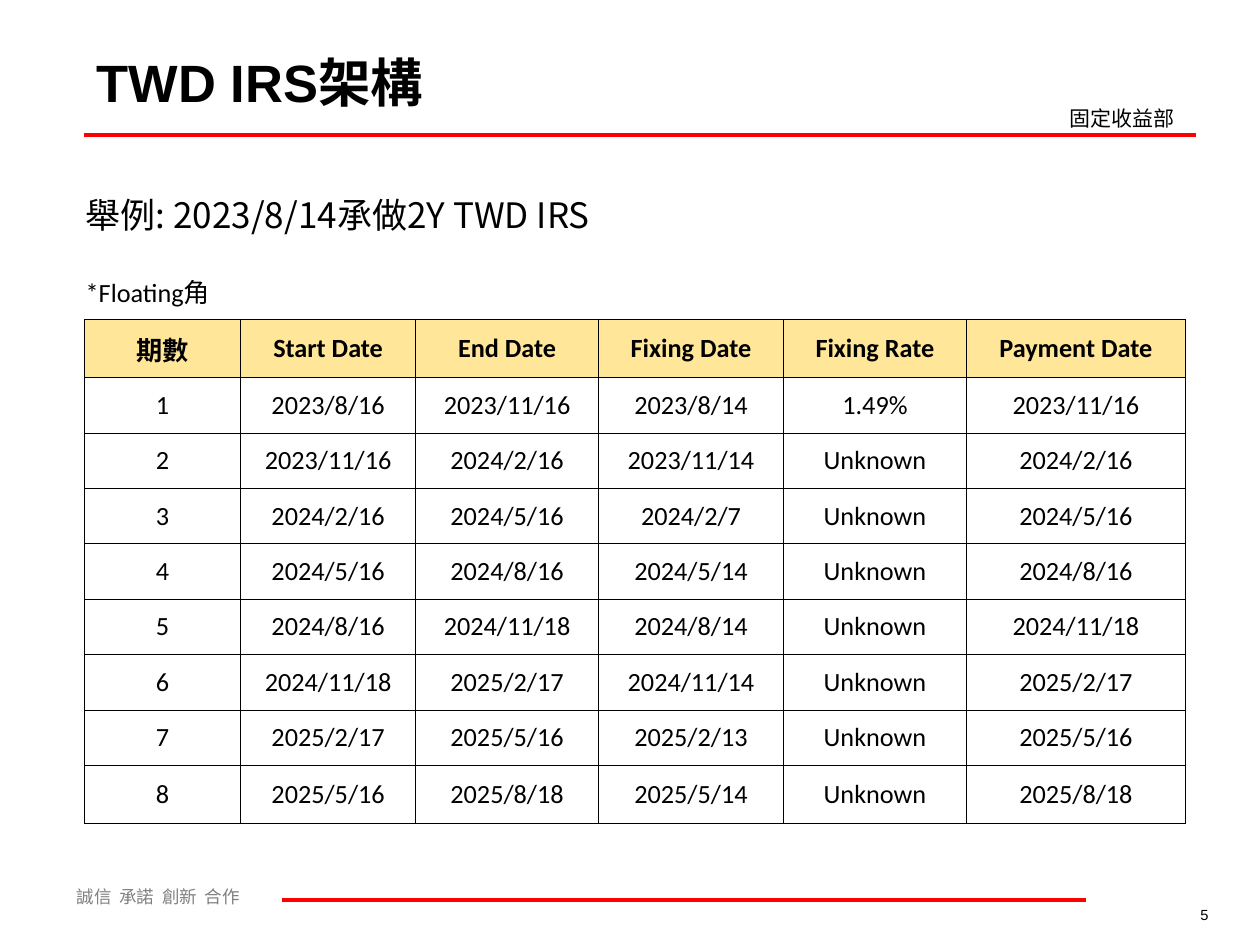
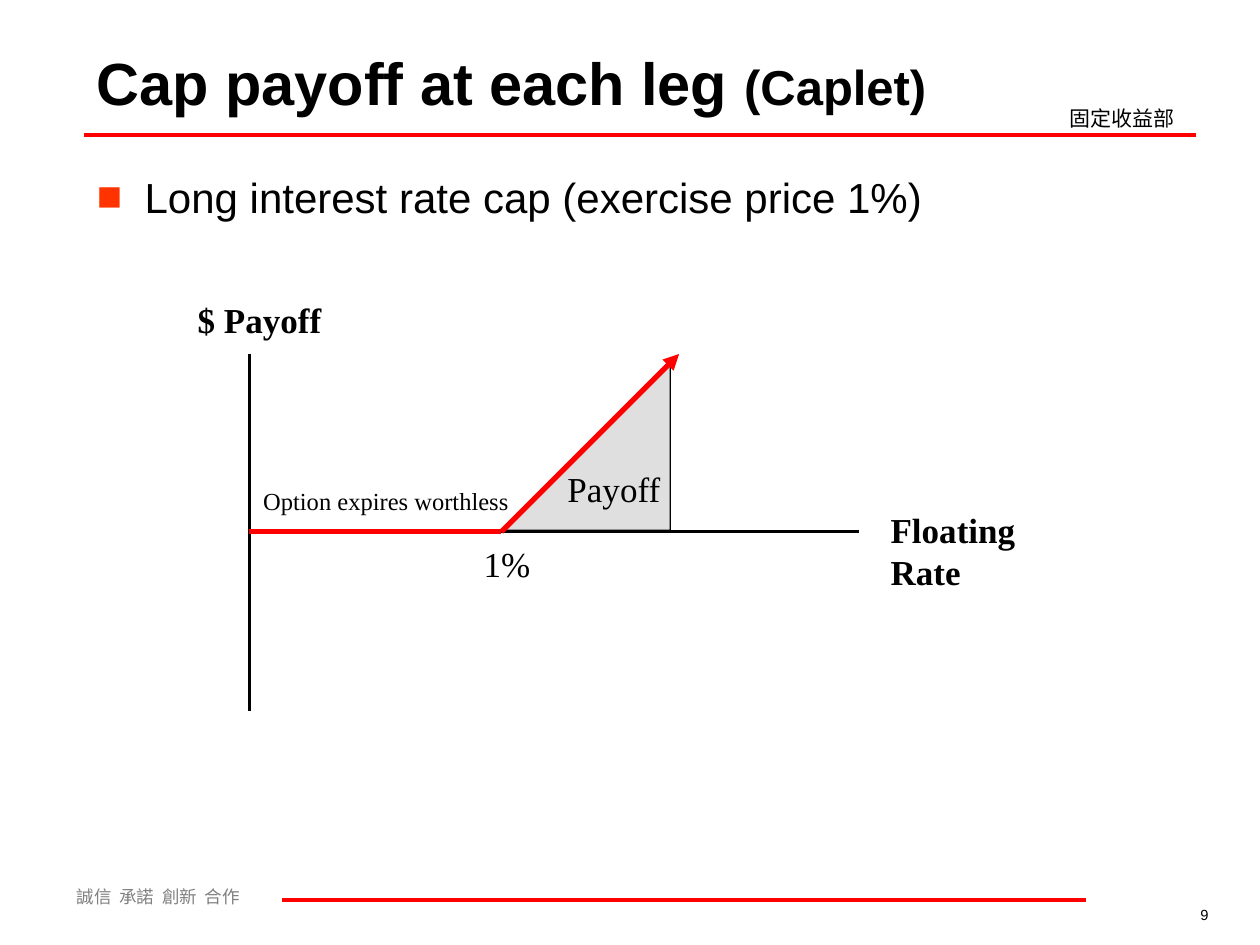
"""Build two slides on interest rate swaps and caps."""
from itertools import product
from lxml.etree import SubElement
from pptx import Presentation
from pptx.dml.color import RGBColor
from pptx.enum.shapes import MSO_CONNECTOR, MSO_SHAPE
from pptx.enum.text import MSO_ANCHOR, PP_ALIGN
from pptx.oxml import parse_xml
from pptx.oxml.ns import nsdecls, qn
from pptx.util import Inches, Pt

HUES = {"ink": "000000", "red": "FF0000", "gray": "808080",
        "head": "FFE699", "shade": "C0C0C0", "mark": "FF3300"}
SANS, SERIF, BODY = "Arial", "Times New Roman", "Calibri"
HAN, TRAD = "Noto Sans CJK SC", "Noto Sans CJK TC"


def write(frame, text, size, font, bold=False, hue="ink", han=HAN):
    frame.text = text
    par = frame.paragraphs[0]
    for run in par.runs:
        run.font.size = Pt(size)
        run.font.name = font
        run.font.bold = bold
        run.font.color.rgb = RGBColor.from_string(HUES[hue])
        SubElement(run.font._element, qn("a:ea")).set("typeface", han)
    return par


def stroke(slide, x1, y1, x2, y2, hue, width):
    line = slide.shapes.add_connector(
        MSO_CONNECTOR.STRAIGHT, Inches(x1), Inches(y1), Inches(x2), Inches(y2))
    line.line.color.rgb = RGBColor.from_string(HUES[hue])
    line.line.width = Pt(width)
    SubElement(line._element.spPr, qn("a:effectLst"))
    return line


deck = Presentation()
deck.slide_width, deck.slide_height = Inches(10), Inches(7.5)

for title, size, page in [("TWD IRS架構", 30, "5"),
                          ("Cap payoff at each leg ", 34, "9")]:
    slide = deck.slides.add_slide(deck.slide_layouts[6])
    stroke(slide, 0.67, 1.07, 9.49, 1.07, "red", 2.25)
    stroke(slide, 2.24, 7.14, 8.62, 7.14, "red", 2.25)
    for text, x, y, w, h, pt, font, hue, gap, align in [
            ("誠信  承諾  創新  合作", 0.51, 6.98, 2.52, 0.27, 10, HAN, "gray", 6.2, PP_ALIGN.LEFT),
            ("固定收益部", 8.39, 0.79, 1.26, 0.3, 12, HAN, "ink", 7.5, PP_ALIGN.LEFT),
            (page, 8.31, 7.14, 1.38, 0.24, 8.4, SANS, "ink", 0, PP_ALIGN.RIGHT)]:
        box = slide.shapes.add_textbox(Inches(x), Inches(y), Inches(w), Inches(h))
        box.text_frame.word_wrap = True
        par = write(box.text_frame, text, pt, font, hue=hue)
        par.space_before = Pt(gap)
        par.alignment = align
    box = slide.shapes.add_textbox(Inches(0.67), Inches(0.3), Inches(7.32), Inches(0.69))
    box.text_frame.word_wrap = True
    box.text_frame.vertical_anchor = MSO_ANCHOR.MIDDLE
    head = write(box.text_frame, title, size, SANS, bold=True)

swap, cap = deck.slides

tail = head.add_run()
tail.text = "(Caplet)"
tail.font.size = Pt(28)
tail.font.name = SANS
tail.font.bold = True
tail.font.color.rgb = RGBColor.from_string(HUES["ink"])

rows = [
    ["舉例: 2023/8/14承做2Y TWD IRS"] + [""] * 5,
    ["*Floating角"] + [""] * 5,
    ["期數", "Start Date", "End Date", "Fixing Date", "Fixing Rate", "Payment Date"],
]
dates = ["2023/8/16", "2023/11/16", "2024/2/16", "2024/5/16", "2024/8/16",
         "2024/11/18", "2025/2/17", "2025/5/16", "2025/8/18"]
fixes = ["2023/8/14", "2023/11/14", "2024/2/7", "2024/5/14", "2024/8/14",
         "2024/11/14", "2025/2/13", "2025/5/14"]
for num, (start, end, fix) in enumerate(zip(dates, dates[1:], fixes), 1):
    rate = "1.49%" if num == 1 else "Unknown"
    rows.append([str(num), start, end, fix, rate, end])

wide = [1.24, 1.39, 1.45, 1.47, 1.45, 1.74]
tall = [0.68, 0.46, 0.46] + [0.44] * 7 + [0.46]
grid = swap.shapes.add_table(len(rows), len(wide), Inches(0.67), Inches(1.31),
                             Inches(sum(wide)), Inches(sum(tall))).table
grid.first_row = grid.horz_banding = False
for col, w in zip(grid.columns, wide):
    col.width = Inches(w)
for row, h in zip(grid.rows, tall):
    row.height = Inches(h)
grid.cell(0, 0).merge(grid.cell(0, 2))

for r, c in product(range(len(rows)), range(len(wide))):
    cell = grid.cell(r, c)
    cell.margin_left = cell.margin_right = Inches(0.01)
    cell.margin_top = cell.margin_bottom = Inches(0.05)
    cell.vertical_anchor = MSO_ANCHOR.MIDDLE
    par = write(cell.text_frame, rows[r][c], 20 if r == 0 else 15,
                TRAD if r == 0 else BODY, bold=r == 2, han=TRAD)
    par.alignment = PP_ALIGN.CENTER if r > 1 else PP_ALIGN.LEFT
    if not rows[r][c]:
        par.font.size = Pt(15)
    if r == 2:
        cell.fill.solid()
        cell.fill.fore_color.rgb = RGBColor.from_string(HUES["head"])
    else:
        cell.fill.background()
    for spot, side in enumerate("LRTB"):
        drawn = r > 1 or (r == 1 and side == "B")
        paint = f'<a:solidFill><a:srgbClr val="{HUES["ink"]}"/></a:solidFill>' if drawn else "<a:noFill/>"
        edge = parse_xml(f'<a:ln{side} {nsdecls("a")} w="{Pt(0.45)}">{paint}</a:ln{side}>')
        cell._tc.get_or_add_tcPr().insert(spot, edge)

box = cap.shapes.add_textbox(Inches(0.67), Inches(1.31), Inches(8.83), Inches(5.39))
box.text_frame.word_wrap = True
par = write(box.text_frame, "Long interest rate cap (exercise price 1%)", 24, SANS)
par.space_before = Pt(6)
props = par._p.get_or_add_pPr()
props.set("marL", str(Inches(0.38)))
props.set("indent", str(-Inches(0.38)))
tint = SubElement(props, qn("a:buClr"))
SubElement(tint, qn("a:srgbClr")).set("val", HUES["mark"])
SubElement(props, qn("a:buFont")).set("typeface", SANS)
SubElement(props, qn("a:buChar")).set("char", "■")

left, strike, base, top = 1.98, 3.98, 4.22, 2.81
stroke(cap, left, top, left, 5.64, "ink", 1.5)
stroke(cap, left, base, 6.82, base, "ink", 1.5)
stroke(cap, left, base, strike, base, "red", 3)

for text, x, y, w, h, size, bold in [
        ("$ Payoff", 1.47, 2.32, 1.18, 0.44, 20, True),
        ("Option expires worthless", 1.99, 3.81, 2.15, 0.34, 14, False),
        ("1%", 3.74, 4.26, 0.57, 0.44, 20, False),
        ("Floating Rate", 6.97, 3.99, 1.81, 0.44, 20, True)]:
    box = cap.shapes.add_textbox(Inches(x), Inches(y), Inches(w), Inches(h))
    box.text_frame.word_wrap = False
    write(box.text_frame, text, size, SERIF, bold)

gain = cap.shapes.add_shape(MSO_SHAPE.RIGHT_TRIANGLE, Inches(strike), Inches(2.88),
                            Inches(1.34), Inches(1.33))
gain._element.spPr.find(qn("a:xfrm")).set("flipH", "1")
gain.shadow.inherit = False
gain.fill.solid()
gain.fill.fore_color.rgb = RGBColor.from_string(HUES["shade"])
shade = gain._element.spPr.find(qn("a:solidFill"))[0]
SubElement(shade, qn("a:alpha")).set("val", "50000")
gain.line.color.rgb = RGBColor.from_string(HUES["ink"])
gain.line.width = Pt(0.75)
gain.text_frame.word_wrap = False
gain.text_frame.vertical_anchor = MSO_ANCHOR.MIDDLE
write(gain.text_frame, "Payoff", 20, SERIF).alignment = PP_ALIGN.CENTER

ray = stroke(cap, strike, base, 5.39, top, "red", 3)
SubElement(ray.line._get_or_add_ln(), qn("a:tailEnd")).set("type", "triangle")

deck.save("out.pptx")
